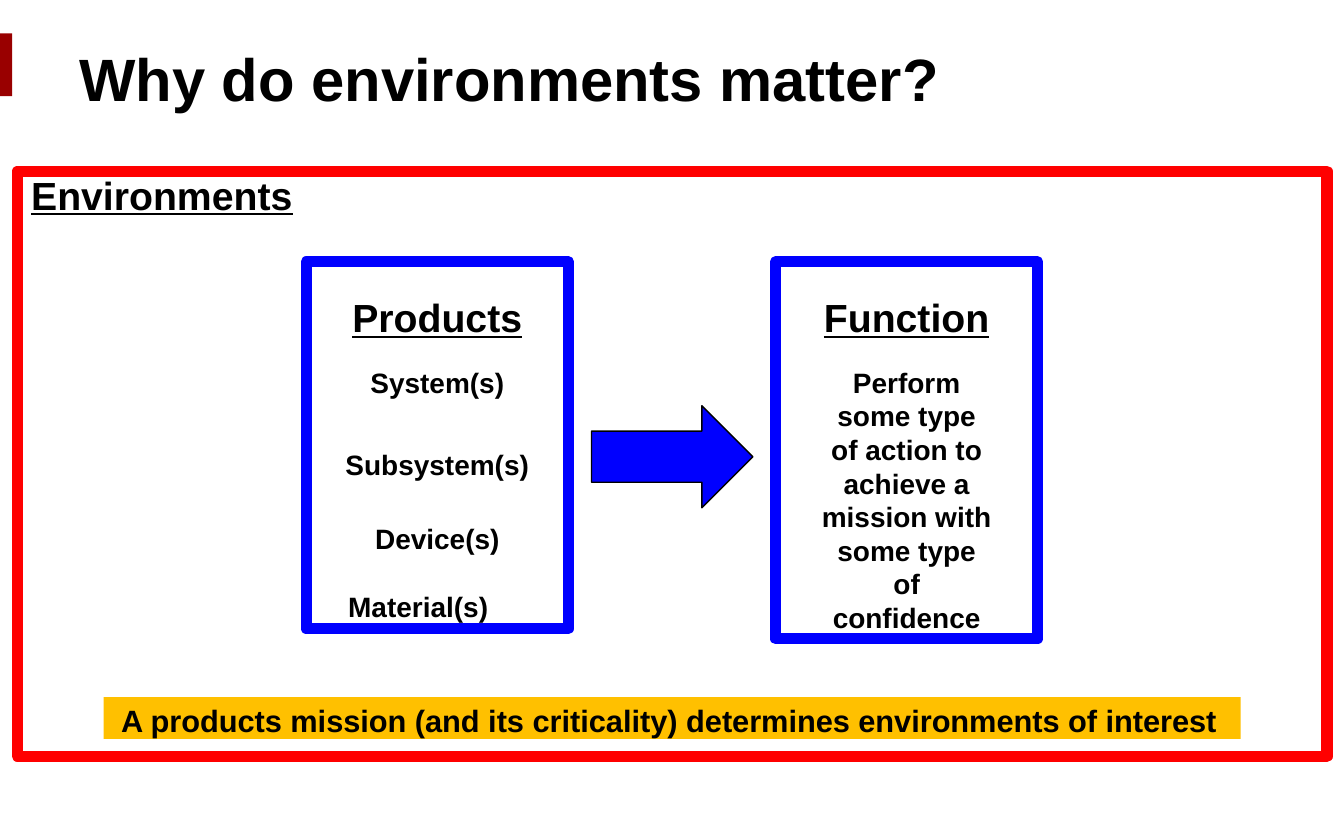
from pptx import Presentation
from pptx.dml.color import RGBColor
from pptx.enum.shapes import MSO_SHAPE
from pptx.enum.text import MSO_ANCHOR, MSO_AUTO_SIZE, PP_ALIGN
from pptx.util import Cm, Pt

BLACK = RGBColor(0, 0, 0)
RED = RGBColor(0xFF, 0, 0)
DARK_RED = RGBColor(0x99, 0, 0)
BLUE = RGBColor(0, 0, 0xFF)
AMBER = RGBColor(0xFF, 0xC0, 0)


def add_shape(s, kind, box, fill=None, line=None, width=6):
    sp = s.shapes.add_shape(kind, *map(Cm, box))
    sp.shadow.inherit = False
    if fill is None:
        sp.fill.background()
    else:
        sp.fill.solid()
        sp.fill.fore_color.rgb = fill
    if line is None:
        sp.line.fill.background()
    else:
        sp.line.color.rgb = line
        sp.line.width = Pt(width)
    return sp


def set_frame(sp, left=0, top=0, right=0, anchor=MSO_ANCHOR.TOP):
    tf = sp.text_frame
    tf.word_wrap = True
    tf.auto_size = MSO_AUTO_SIZE.NONE
    tf.vertical_anchor = anchor
    tf.margin_left, tf.margin_top = Cm(left), Cm(top)
    tf.margin_right, tf.margin_bottom = Cm(right), 0
    return tf


def add_text(p, text, size, align=PP_ALIGN.LEFT, underline=False, before=0):
    p.alignment = align
    p.space_before = Pt(before)
    r = p.add_run()
    r.text = text
    r.font.name = "Arial"
    r.font.size = Pt(size)
    r.font.bold = True
    r.font.underline = underline
    r.font.color.rgb = BLACK


def add_title(s, text):
    sp = s.shapes.title
    sp.left, sp.top, sp.width, sp.height = Cm(1.47), Cm(0.38), Cm(22.23), Cm(1.78)
    tf = set_frame(sp, left=0.03, top=0.41, anchor=MSO_ANCHOR.MIDDLE)
    add_text(tf.paragraphs[0], text, 32)


def add_label(s, text, box):
    sp = s.shapes.add_textbox(*map(Cm, box))
    add_text(set_frame(sp, left=0.03).paragraphs[0], text, 21, underline=True)


def add_panel(s, left, height, heading, items, side=0):
    sp = add_shape(s, MSO_SHAPE.RECTANGLE, (left, 4.95, 4.95, height), line=BLUE)
    tf = set_frame(sp, left=side, top=0.6, right=side)
    add_text(tf.paragraphs[0], heading, 21, PP_ALIGN.CENTER, underline=True)
    for text, before in items:
        add_text(tf.add_paragraph(), text, 15, PP_ALIGN.CENTER, before=before)
    return tf


def add_banner(s, text):
    sp = add_shape(s, MSO_SHAPE.RECTANGLE, (1.96, 13.18, 21.49, 0.79), fill=AMBER)
    add_text(set_frame(sp, left=0.33, top=0.08).paragraphs[0], text, 16.5)


def main():
    prs = Presentation()
    prs.slide_width, prs.slide_height = Cm(25.4), Cm(15.88)
    s = prs.slides.add_slide(prs.slide_layouts[5])

    add_shape(s, MSO_SHAPE.RECTANGLE, (0, 0.63, 0.23, 1.19), fill=DARK_RED)
    add_shape(s, MSO_SHAPE.RECTANGLE, (0.33, 3.24, 24.75, 11.06), line=RED)
    add_title(s, "Why do environments matter?")
    add_label(s, "Environments", (0.56, 3.23, 5.2, 0.91))
    add_banner(s, "A products mission (and its criticality) determines environments of interest")

    tf = add_panel(s, 5.79, 6.94, "Products", [
        ("System(s)", 13.3),
        ("Subsystem(s)", 26),
        ("Device(s)", 21.7),
        ("Material(s)", 18.5),
    ])
    tf.paragraphs[-1]._p.get_or_add_pPr().set("marR", str(Cm(0.72)))
    add_panel(s, 14.66, 7.13, "Function", [
        ("Perform some type of action to achieve a mission with some type of confidence", 13.3),
    ], side=0.87)
    add_shape(s, MSO_SHAPE.RIGHT_ARROW, (11.18, 7.67, 3.05, 1.93), BLUE, BLACK, 0.75)

    prs.save("out.pptx")


if __name__ == "__main__":
    main()
